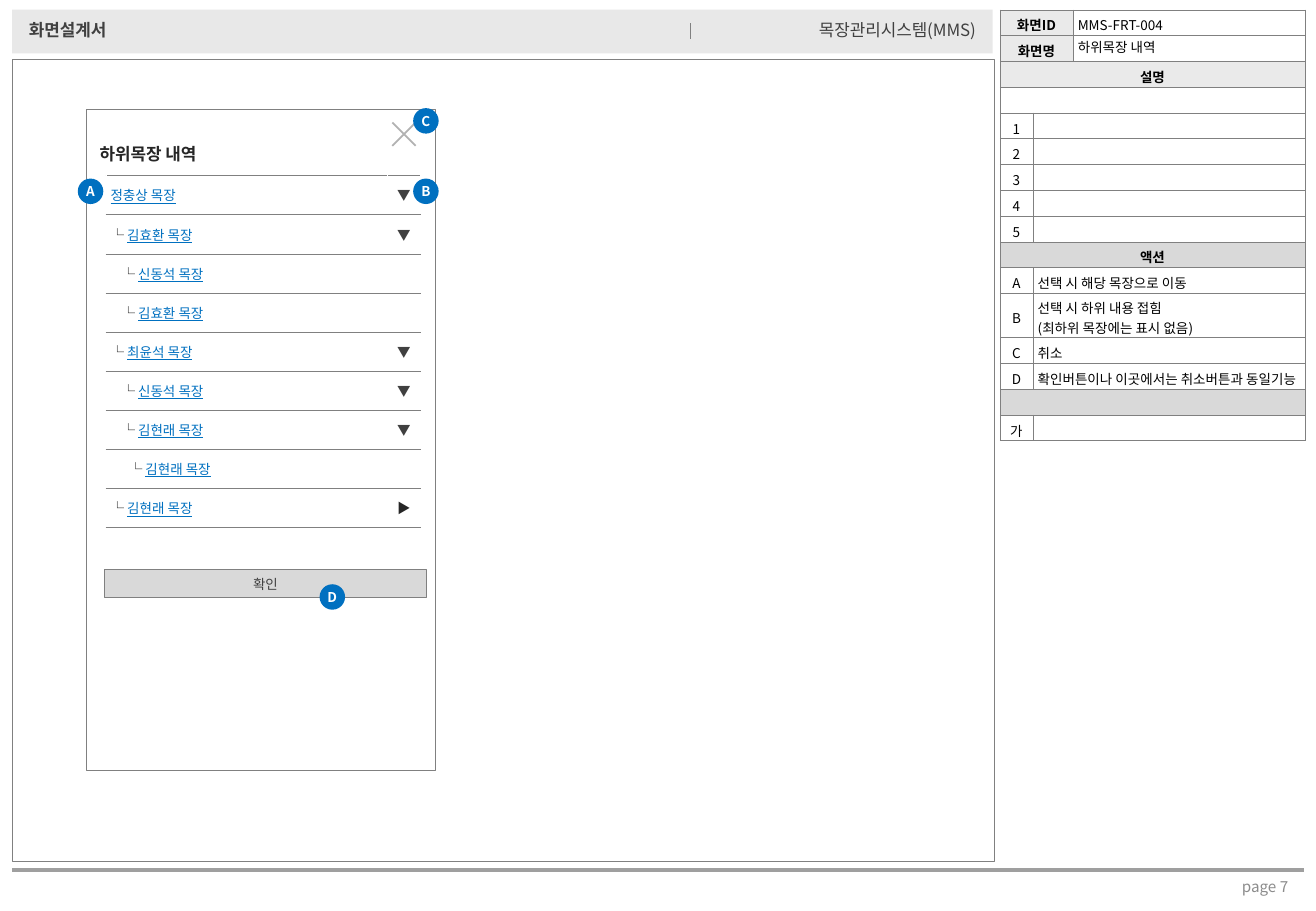
import collections

import lxml.etree
import pptx
import pptx.dml.color
import pptx.enum.shapes
import pptx.enum.text
import pptx.oxml.ns
import pptx.util

MODULE = 0.1  # inches per grid column and row
FONT = "Noto Sans CJK KR"
COLOURS = {
    "white": "FFFFFF", "black": "000000", "ink": "262626", "text": "404040",
    "line": "808080", "rule": "9F9F9F", "page": "8C8C8C",
    "label": "EAEAEA", "grey": "D9D9D9", "blue": "0070C0",
}
SHAPES = pptx.enum.shapes.MSO_SHAPE
ALIGN = pptx.enum.text.PP_ALIGN
ANCHOR = pptx.enum.text.MSO_ANCHOR
qn = pptx.oxml.ns.qn

Style = collections.namedtuple("Style", "size colour bold underline", defaults=(False, False))
Box = collections.namedtuple("Box", "left top width height")

SPEC_ROWS = [
    ("id", "화면ID", "MMS-FRT-004"), ("id", "화면명", ""),
    ("label", "설명", ""), ("blank", "", ""),
    *[("item", str(number), "") for number in range(1, 6)],
    ("grey", "액션", ""),
    ("item", "A", "선택 시 해당 목장으로 이동"),
    ("item", "B", "선택 시 하위 내용 접힘\n(최하위 목장에는 표시 없음)"),
    ("item", "C", "취소"),
    ("item", "D", "확인버튼이나 이곳에서는 취소버튼과 동일기능"),
    ("grey", "", ""), ("item", "가", ""),
]
# depth in the tree, farm, fold mark
FARMS = [
    (0, "정충상 목장", "▼"), (1, "김효환 목장", "▼"), (2, "신동석 목장", ""),
    (2, "김효환 목장", ""), (1, "최윤석 목장", "▼"), (2, "신동석 목장", "▼"),
    (2, "김현래 목장", "▼"), (3, "김현래 목장", ""), (1, "김현래 목장", "▶"),
]
DEPTH_INDENTS = [0, 0, 0.9, 1.5]


def units(modules):
    return pptx.util.Inches(modules * MODULE)


def emu(box):
    return [units(length) for length in box]


def inside(box, left, top, width, height):
    return Box(box.left + left, box.top + top, width, height)


def rgb(name):
    return pptx.dml.color.RGBColor.from_string(COLOURS[name])


def add_run(paragraph, text, style):
    for index, part in enumerate(text.split("\n")):
        if index:
            paragraph.add_line_break()
        run = paragraph.add_run()
        run.text = part
        font = run.font
        font.size = pptx.util.Pt(style.size)
        font.bold, font.underline, font.name = style.bold, style.underline, FONT
        font.color.rgb = rgb(style.colour)
        lxml.etree.SubElement(font._element, qn("a:ea"), typeface=FONT)


def set_insets(holder, horizontal, top, bottom):
    holder.margin_left = holder.margin_right = units(horizontal)
    holder.margin_top, holder.margin_bottom = units(top), units(bottom)


def write(frame, text, style, align=ALIGN.LEFT, anchor=ANCHOR.MIDDLE, insets=(0, 0, 0), wrap=True):
    set_insets(frame, *insets)
    frame.auto_size = pptx.enum.text.MSO_AUTO_SIZE.NONE
    frame.word_wrap, frame.vertical_anchor = wrap, anchor
    frame.paragraphs[0].alignment = align
    add_run(frame.paragraphs[0], text, style)


def add_text(slide, box, text, style, **layout):
    write(slide.shapes.add_textbox(*emu(box)).text_frame, text, style, **layout)


def add_shape(slide, kind, box, fill=None, line=None, opacity=100):
    shape = slide.shapes.add_shape(kind, *emu(box))
    shape.shadow.inherit = False
    if fill:
        shape.fill.solid()
        shape.fill.fore_color.rgb = rgb(fill)
        if opacity < 100:
            colour = shape._element.spPr.find(qn("a:solidFill"))[0]
            lxml.etree.SubElement(colour, qn("a:alpha"), val=str(opacity * 1000))
    else:
        shape.fill.background()
    if line:
        shape.line.color.rgb = rgb(line)
        shape.line.width = pptx.util.Pt(0.25)
    else:
        shape.line.fill.background()
    return shape


def add_line(slide, start, end, colour, width):
    straight = pptx.enum.shapes.MSO_CONNECTOR.STRAIGHT
    line = slide.shapes.add_connector(straight, *emu(start + end))
    line.line.color.rgb = rgb(colour)
    line.line.width = pptx.util.Pt(width)
    lxml.etree.SubElement(line._element.spPr, qn("a:effectLst"))


def add_plain_table(slide, box, columns, rows, side_colour, insets):
    table = slide.shapes.add_table(len(rows), len(columns), *emu(box)).table
    table.first_row = table.horz_banding = False
    for column, width in zip(table.columns, columns):
        column.width = units(width)
    for row, height in zip(table.rows, rows):
        row.height = units(height)
    for cell in table.iter_cells():
        set_insets(cell, *insets)
        borders = cell._tc.get_or_add_tcPr()
        for side in "LRTB":
            line = lxml.etree.SubElement(borders, qn(f"a:ln{side}"), w="3175")
            fill = lxml.etree.SubElement(line, qn("a:solidFill"))
            colour = COLOURS[side_colour if side in "LR" else "line"]
            lxml.etree.SubElement(fill, qn("a:srgbClr"), val=colour)
        cell.fill.background()
    return table


def write_cell(cell, text, style, align=ALIGN.LEFT):
    paragraph = cell.text_frame.paragraphs[0]
    paragraph.alignment = align
    if text:
        add_run(paragraph, text, style)


def size_empty_cells(table):
    """Keep empty cells from growing their rows."""
    for cell in table.iter_cells():
        if not cell.text_frame.text:
            paragraph = cell.text_frame.paragraphs[0]._p
            lxml.etree.SubElement(paragraph, qn("a:endParaRPr"), sz="800")


def page_frame(slide, box):
    band = inside(box, 1, 0.8, 80.7, 3.6)
    add_shape(slide, SHAPES.RECTANGLE, band, "grey", opacity=60)
    add_shape(slide, SHAPES.RECTANGLE, inside(box, 1, 4.9, 80.8, 66), line="line")
    add_line(slide, (56.8, 3.2), (56.8, 1.9), "line", 0.25)
    add_line(slide, (1, 71.6), (107.3, 71.6), "rule", 2.25)
    layout = dict(anchor=ANCHOR.TOP, insets=(1, 0.5, 0.5))
    add_text(slide, inside(band, 0.4, 0.3, 24, 2.7), "화면설계서",
             Style(10, "text", True), **layout)
    add_text(slide, inside(band, 56.3, 0.3, 24, 2.7), "목장관리시스템(MMS)",
             Style(10, "text"), align=ALIGN.RIGHT, **layout)
    add_text(slide, inside(box, 58.4, 71.7, 48.6, 2.6), "page 7",
             Style(9, "page"), align=ALIGN.RIGHT, **layout)


def spec_panel(slide, box):
    tall = 3.45
    height = (box.height - tall) / (len(SPEC_ROWS) - 1)
    heights = [tall if "\n" in description else height for _, _, description in SPEC_ROWS]
    table = add_plain_table(slide, box, [2.7, 3.3, 19.1], heights, "line", (0.4, 0.4, 0))
    fills = {"id": "label", "label": "label", "grey": "grey"}
    plain = Style(8, "black")
    for row, (kind, mark, description) in enumerate(SPEC_ROWS):
        head = table.cell(row, 0)
        if kind == "id":
            head.merge(table.cell(row, 1))
            detail = table.cell(row, 2)
        elif kind == "item":
            detail = table.cell(row, 1)
            detail.merge(table.cell(row, 2))
        else:
            head.merge(table.cell(row, 2))
            detail = None
        head.vertical_anchor = ANCHOR.MIDDLE
        write_cell(head, mark, plain._replace(bold=kind in fills), ALIGN.CENTER)
        if detail:
            detail.vertical_anchor = ANCHOR.MIDDLE
            write_cell(detail, description, plain)
        if kind in fills:
            head.fill.solid()
            head.fill.fore_color.rgb = rgb(fills[kind])
    size_empty_cells(table)

    title = slide.shapes.title
    name_box = inside(box, 6.4, 2.1, 18.7, 2)
    title.left, title.top, title.width, title.height = emu(name_box)
    write(title.text_frame, "하위목장 내역", plain)


def farm_tree(slide, box):
    heights = [box.height / len(FARMS)] * len(FARMS)
    table = add_plain_table(slide, box, [23.2, 2.7], heights, "white", (0.4, 0.8, 0.8))
    for row, (depth, farm, fold) in enumerate(FARMS):
        cell = table.cell(row, 0)
        paragraph = cell.text_frame.paragraphs[0]
        paragraph._p.get_or_add_pPr().set("marL", str(units(DEPTH_INDENTS[depth])))
        if depth:
            add_run(paragraph, "└ ", Style(8, "ink"))
        write_cell(cell, farm, Style(8, "blue", underline=True))
        fold_style = Style(8, "ink" if fold == "▶" else "text")
        write_cell(table.cell(row, 1), fold, fold_style, ALIGN.CENTER)
    size_empty_cells(table)


def phone_screen(slide, box):
    add_shape(slide, SHAPES.RECTANGLE, box, "white", "line")
    add_text(slide, inside(box, 1.1, 2.5, 13.2, 2.3), "하위목장 내역",
             Style(10, "ink", True), wrap=False)
    close = add_shape(slide, SHAPES.MATH_MULTIPLY, inside(box, 24.3, 0.2, 3.7, 3.7),
                      "line", opacity=60)
    close.adjustments[0] = 0.04
    farm_tree(slide, inside(box, 1.6, 5.45, 25.9, 28.8))
    confirm = add_shape(slide, SHAPES.RECTANGLE, inside(box, 1.5, 37.9, 26.5, 2.3),
                        "grey", "line")
    write(confirm.text_frame, "확인", Style(8, "text"), align=ALIGN.CENTER, wrap=False)
    for letter, left, top in [("A", -0.7, 5.7), ("B", 26.9, 5.7),
                              ("C", 26.9, -0.1), ("D", 19.2, 39.1)]:
        badge = add_shape(slide, SHAPES.OVAL, inside(box, left, top, 2.1, 2.1), "blue")
        write(badge.text_frame, letter, Style(8, "white", True), align=ALIGN.CENTER)


def main():
    deck = pptx.Presentation()
    deck.slide_width, deck.slide_height = units(108.3), units(75)
    slide = deck.slides.add_slide(deck.slide_layouts.get_by_name("Title Only"))
    page_frame(slide, Box(0, 0, 108.3, 75))
    spec_panel(slide, Box(82.3, 0.8, 25.1, 35.3))
    phone_screen(slide, Box(7.1, 9, 28.7, 54.4))
    deck.save("out.pptx")


if __name__ == "__main__":
    main()
